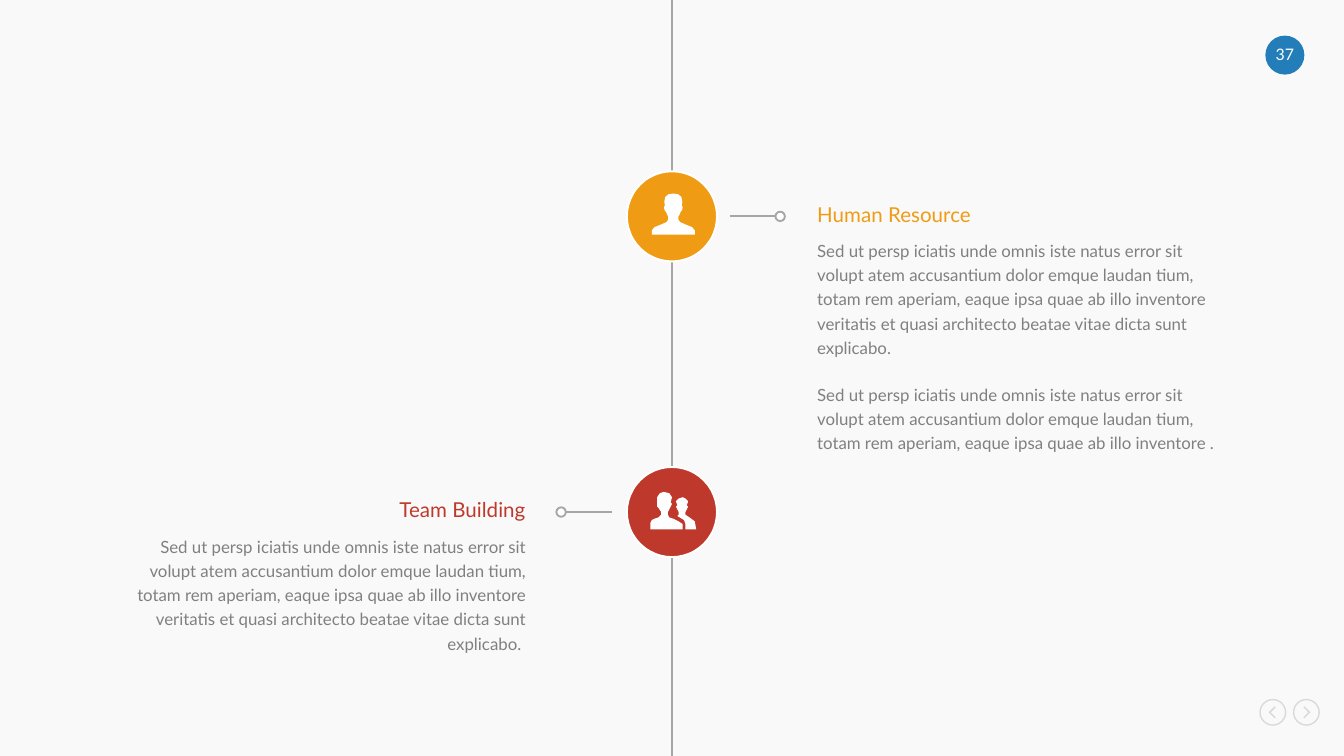
from dataclasses import dataclass

from lxml import etree
from pptx import Presentation
from pptx.dml.color import RGBColor
from pptx.enum import shapes, text
from pptx.oxml.ns import qn
from pptx.util import Inches, Pt


@dataclass(frozen=True)
class Theme:
    font: str = "Lato"
    background: str = "F9F9F9"
    white: str = "FFFFFF"
    line: str = "A6A6A6"
    body: str = "808080"
    orange: str = "F09B14"
    red: str = "BE392B"
    blue: str = "237DB9"
    navigation: str = "D9D9D9"
    heading_size: float = 11
    body_size: float = 9
    number_size: float = 8.5


THEME = Theme()
WIDTH, HEIGHT = 10, 5.625
AXIS = WIDTH / 2
NODE_SIZE, RING_SIZE = 0.67, 0.07
TEXT_WIDTH = 3.08

OPENING = ("Sed ut persp iciatis unde omnis iste natus error sit volupt atem "
           "accusantium dolor emque laudan tium, totam rem aperiam, "
           "eaque ipsa quae ab illo inventore ")
FULL_TEXT = OPENING + "veritatis et quasi architecto beatae vitae dicta sunt explicabo."

# Right half of a bust, as offsets from the top of the head
BUST = [(0, 0), (0.035, 0.005), (0.06, 0.025), (0.067, 0.06), (0.063, 0.09),
        (0.07, 0.1), (0.065, 0.125), (0.055, 0.135), (0.045, 0.16),
        (0.038, 0.17), (0.038, 0.195), (0.05, 0.212), (0.09, 0.23),
        (0.14, 0.25), (0.16, 0.275), (0.16, 0.305)]
PERSON = [(5.01 + x, 1.44 + y) for x, y in BUST]
PERSON += [(5.01 - x, 1.44 + y) for x, y in reversed(BUST[1:])]

LEADER = [(4.84, 3.94), (4.84, 3.89), (4.85, 3.87), (4.87, 3.86), (4.9, 3.85),
          (4.92, 3.83), (4.92, 3.81), (4.9, 3.78), (4.89, 3.77), (4.89, 3.74),
          (4.89, 3.7), (4.91, 3.67), (4.94, 3.66), (4.98, 3.67), (5, 3.7),
          (4.99, 3.74), (5, 3.75), (4.99, 3.77), (4.98, 3.79), (4.97, 3.81),
          (4.97, 3.83), (4.98, 3.85), (5.01, 3.86), (5.05, 3.88),
          (5.08, 3.9), (5.08, 3.94)]
COLLEAGUE = [(5.1, 3.94), (5.1, 3.9), (5.09, 3.87), (5.04, 3.84), (5.05, 3.83),
             (5.05, 3.81), (5.04, 3.79), (5.03, 3.77), (5.04, 3.76),
             (5.03, 3.73), (5.05, 3.71), (5.08, 3.7), (5.1, 3.71),
             (5.12, 3.73), (5.11, 3.76), (5.12, 3.77), (5.11, 3.79),
             (5.1, 3.81), (5.1, 3.83), (5.13, 3.85), (5.17, 3.88), (5.18, 3.94)]
CHEVRON = [(0.015, -0.045), (0.022, -0.037), (-0.015, 0), (0.022, 0.037),
           (0.015, 0.045), (-0.03, 0)]

# side: 1 places the text right of the axis, -1 left of it
TOPICS = [
    dict(title="Human Resource", paragraphs=[FULL_TEXT, OPENING + "."],
         color=THEME.orange, side=1, middle=1.61, left=6.08,
         pointer=(5.43, 5.77), body_top=1.76, body_height=1.44, icon=[PERSON]),
    dict(title="Team Building", paragraphs=[FULL_TEXT + " "],
         color=THEME.red, side=-1, middle=3.81, left=0.83,
         pointer=(4.55, 4.21), body_top=3.96, body_height=0.73,
         icon=[COLLEAGUE, LEADER]),
]
NAVIGATION = [(9.47, 1), (9.72, -1)]


def rgb(value):
    return RGBColor.from_string(value)


def paint(shape, fill=None, line=None, weight=1):
    shape.shadow.inherit = False
    if fill:
        shape.fill.solid()
        shape.fill.fore_color.rgb = rgb(fill)
    else:
        shape.fill.background()
    if line:
        shape.line.color.rgb = rgb(line)
        shape.line.width = Pt(weight)
    else:
        shape.line.fill.background()


def add_circle(page, x, y, size, **style):
    """Add a circle centred on x, y."""
    circle = page.shapes.add_shape(
        shapes.MSO_SHAPE.OVAL, Inches(x - size / 2), Inches(y - size / 2),
        Inches(size), Inches(size))
    paint(circle, **style)


def add_line(page, x1, y1, x2, y2):
    line = page.shapes.add_connector(
        shapes.MSO_CONNECTOR.STRAIGHT,
        Inches(x1), Inches(y1), Inches(x2), Inches(y2))
    line.line.color.rgb = rgb(THEME.line)
    line.line.width = Pt(1)
    etree.SubElement(line._element.spPr, qn("a:effectLst"))


def add_outline(page, contours, fill):
    """Add one filled shape from closed contours given in inches."""
    units = 1000
    scaled = [[(x * units, y * units) for x, y in contour] for contour in contours]
    builder = page.shapes.build_freeform(*scaled[0][0], scale=Inches(1) / units)
    builder.add_line_segments(scaled[0][1:], close=True)
    for contour in scaled[1:]:
        builder.move_to(*contour[0])
        builder.add_line_segments(contour[1:], close=True)
    paint(builder.convert_to_shape(), fill=fill)


def add_text(page, at, paragraphs, size, color, align, spacing=None, after=12):
    box = page.shapes.add_textbox(*(Inches(value) for value in at))
    frame = box.text_frame
    frame.word_wrap = True
    frame.margin_left = frame.margin_right = 0
    frame.margin_top = frame.margin_bottom = 0
    frame.text = "\n".join(paragraphs)
    for para in frame.paragraphs:
        para.alignment = align
        para.space_after = Pt(after)
        if spacing:
            para.line_spacing = Pt(spacing)
        for span in para.runs:
            span.font.name = THEME.font
            span.font.size = Pt(size)
            span.font.color.rgb = rgb(color)


def add_axis(page):
    edges = [0]
    for topic in TOPICS:
        edges += [topic["middle"] - NODE_SIZE / 2, topic["middle"] + NODE_SIZE / 2]
    edges.append(HEIGHT)
    for top, bottom in zip(edges[::2], edges[1::2]):
        add_line(page, AXIS, top, AXIS, bottom)


def add_topic(page, topic):
    middle, side, left = topic["middle"], topic["side"], topic["left"]
    near, far = topic["pointer"]
    align = text.PP_ALIGN.LEFT if side > 0 else text.PP_ALIGN.RIGHT
    add_text(page, (left, topic["body_top"], TEXT_WIDTH, topic["body_height"]),
             topic["paragraphs"], THEME.body_size, THEME.body, align, spacing=13)
    add_text(page, (left, middle - 0.11, TEXT_WIDTH, 0.19), [topic["title"]],
             THEME.heading_size, topic["color"], align)
    add_circle(page, AXIS, middle, NODE_SIZE, fill=topic["color"], line=THEME.white)
    add_circle(page, far + side * RING_SIZE / 2, middle, RING_SIZE,
               fill=THEME.white, line=THEME.line)
    add_line(page, near, middle, far, middle)
    add_outline(page, topic["icon"], THEME.white)


def add_page_furniture(page):
    add_circle(page, 9.56, 0.41, 0.29, fill=THEME.blue)
    add_text(page, (9.44, 0.33, 0.24, 0.14), ["37"], THEME.number_size,
             THEME.white, text.PP_ALIGN.CENTER, after=0)
    for x, direction in NAVIGATION:
        arrow = [(x + direction * dx, 5.3 + dy) for dx, dy in CHEVRON]
        add_outline(page, [arrow], THEME.navigation)
        add_circle(page, x, 5.3, 0.19, line=THEME.navigation, weight=0.75)


def main():
    deck = Presentation()
    deck.slide_width, deck.slide_height = Inches(WIDTH), Inches(HEIGHT)
    page = deck.slides.add_slide(deck.slide_layouts[6])
    page.background.fill.solid()
    page.background.fill.fore_color.rgb = rgb(THEME.background)
    add_page_furniture(page)
    add_axis(page)
    for topic in TOPICS:
        add_topic(page, topic)
    deck.save("out.pptx")


if __name__ == "__main__":
    main()
